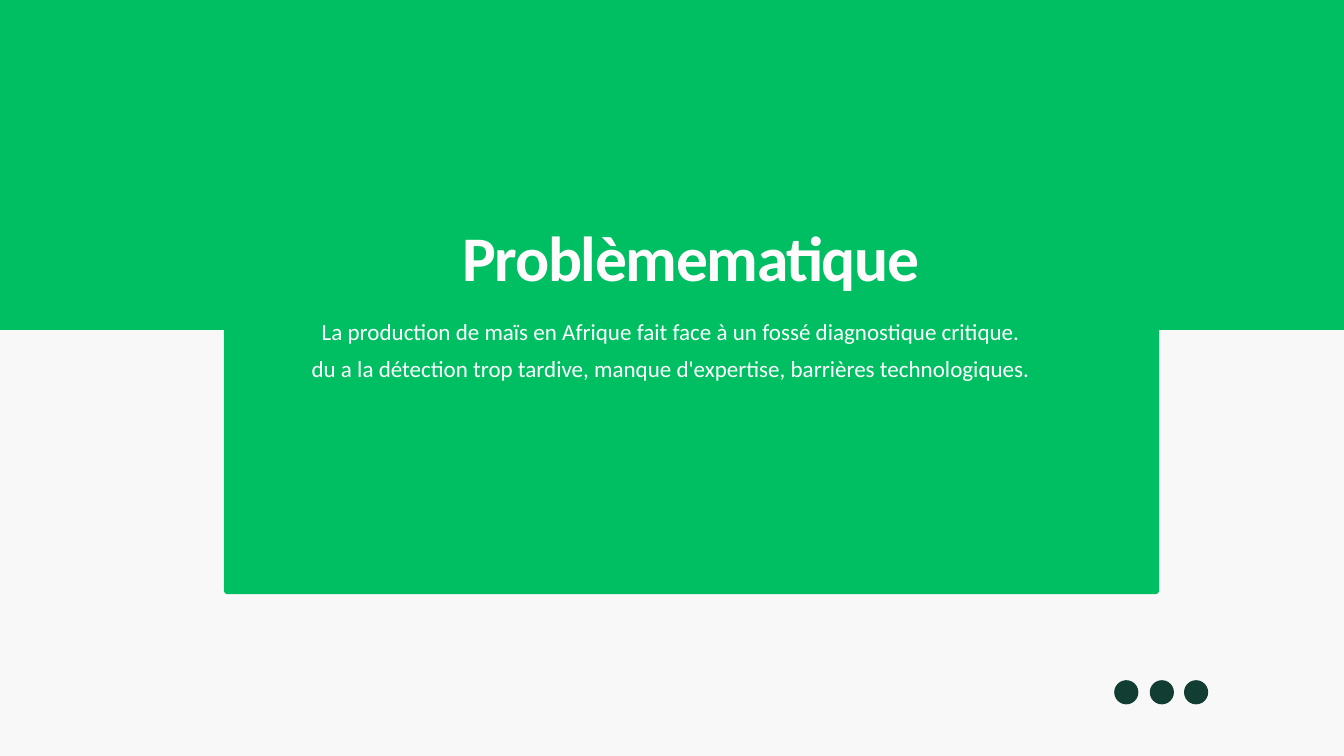
from pptx import Presentation
from pptx.dml.color import RGBColor
from pptx.enum.shapes import MSO_SHAPE as Shape
from pptx.enum.text import MSO_ANCHOR as Anchor, MSO_AUTO_SIZE as AutoSize, PP_ALIGN as Align
from pptx.util import Pt

GREEN = RGBColor(0x00, 0xBF, 0x63)
DARK = RGBColor(0x12, 0x3D, 0x33)
PAPER = RGBColor(0xF8, 0xF8, 0xF8)
WHITE = RGBColor(0xFF, 0xFF, 0xFF)
OFF_WHITE = RGBColor(0xFD, 0xFB, 0xFB)

WIDTH, HEIGHT = 1440, 810
DOT_SIZE = 25.9
DOT_LEFTS = (1193.8, 1231.9, 1268.6)
BODY = (
    "La production de maïs en Afrique fait face à un fossé diagnostique critique.",
    "du a la détection trop tardive, manque d'expertise, barrières technologiques.",
)


class SlideBuilder:
    font = "Calibri"

    def __init__(self, prs, background):
        self.slide = prs.slides.add_slide(prs.slide_layouts[5])
        self.shapes = self.slide.shapes
        fill = self.slide.background.fill
        fill.solid()
        fill.fore_color.rgb = background

    def shape(self, kind, box, color, radius=None):
        sp = self.shapes.add_shape(kind, *map(Pt, box))
        sp.shadow.inherit = False
        sp.fill.solid()
        sp.fill.fore_color.rgb = color
        sp.line.fill.background()
        if radius is not None:
            sp.adjustments[0] = radius / min(box[2:])
        return sp

    def set_text(self, sp, lines, *, size, color, leading, bold=False, spacing=0):
        """Fill a text shape with centred lines; spacing is in points."""
        tf = sp.text_frame
        tf.word_wrap = True
        tf.auto_size = AutoSize.NONE
        tf.vertical_anchor = Anchor.TOP
        tf.margin_left = tf.margin_right = tf.margin_top = tf.margin_bottom = 0
        tf.text = "\n".join(lines)
        for p in tf.paragraphs:
            p.alignment = Align.CENTER
            p.line_spacing = Pt(leading)
            p.space_before = Pt(0)
            r = p.runs[0]
            r.font.name = self.font
            r.font.size = Pt(size)
            r.font.bold = bold
            r.font.color.rgb = color
            if spacing:
                r.font._element.set("spc", str(round(spacing * 100)))

    def text(self, box, lines, **style):
        self.set_text(self.shapes.add_textbox(*map(Pt, box)), lines, **style)

    def title(self, box, text, **style):
        sp = self.shapes.title
        sp.left, sp.top, sp.width, sp.height = map(Pt, box)
        self.set_text(sp, [text], **style)
        # The placeholder comes first in the tree: bring it in front of the panels.
        self.shapes._spTree.append(sp._element)


def main():
    prs = Presentation()
    prs.slide_width, prs.slide_height = Pt(WIDTH), Pt(HEIGHT)
    s = SlideBuilder(prs, PAPER)

    s.shape(Shape.RECTANGLE, (0, 0, WIDTH, 353.5), GREEN)
    s.shape(Shape.ROUNDED_RECTANGLE, (239.8, 229.5, 1002.2, 407.2), GREEN, radius=4.3)
    s.text((280, 330.5, 877.7, 195), BODY, size=24.7, color=WHITE, leading=39.5)
    s.title((429, 219.6, 622, 90.7), "Problèmematique", size=68.1,
            color=OFF_WHITE, leading=95.3, bold=True, spacing=-1.4)
    for left in DOT_LEFTS:
        s.shape(Shape.OVAL, (left, 728.8, DOT_SIZE, DOT_SIZE), DARK)

    prs.save("out.pptx")


if __name__ == "__main__":
    main()
